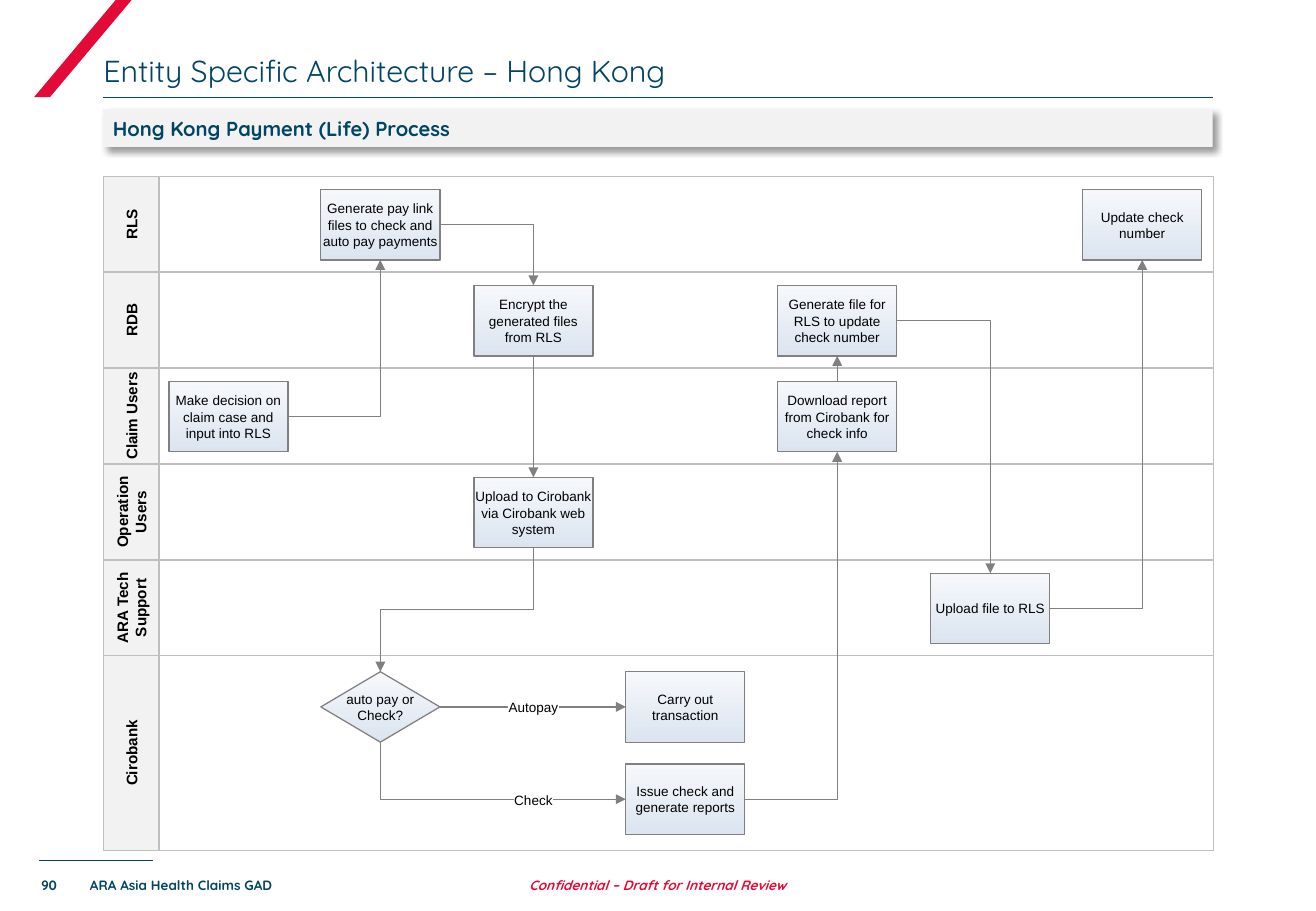
from dataclasses import dataclass

from lxml import etree
from pptx import Presentation
from pptx.dml.color import RGBColor
from pptx.enum.shapes import MSO_CONNECTOR, MSO_SHAPE
from pptx.enum.text import MSO_ANCHOR, PP_ALIGN
from pptx.oxml.ns import qn
from pptx.util import Pt

PX = 9144  # EMU per px, 100 px to the inch
RECT, SLANT = MSO_SHAPE.RECTANGLE, MSO_SHAPE.PARALLELOGRAM
PROCESS, DECISION = MSO_SHAPE.FLOWCHART_PROCESS, MSO_SHAPE.FLOWCHART_DECISION
STRAIGHT, ELBOW = MSO_CONNECTOR.STRAIGHT, MSO_CONNECTOR.ELBOW
LEFT, CENTER = PP_ALIGN.LEFT, PP_ALIGN.CENTER
MIDDLE, BOTTOM = MSO_ANCHOR.MIDDLE, MSO_ANCHOR.BOTTOM
TOP_SIDE, LEFT_SIDE, BOTTOM_SIDE, RIGHT_SIDE = range(4)

COLORS = {
    "navy": "004563", "red": "E40A38", "black": "000000", "white": "FFFFFF",
    "panel": "F2F2F2", "border": "BFBFBF", "flow": "808080",
    "box_top": "F6F8FB", "box_bottom": "DBE4F0",
}


@dataclass
class Style:
    size: int
    color: str = "black"
    font: str = "Arial"
    bold: bool = False
    italic: bool = False
    align: PP_ALIGN = CENTER
    anchor: MSO_ANCHOR = MIDDLE
    wrap: bool = True


@dataclass
class Step:
    key: str
    col: int
    row: int
    text: str
    kind: MSO_SHAPE = PROCESS


@dataclass
class Link:
    start: str
    start_side: int
    end: str
    end_side: int


@dataclass
class Label:
    text: str
    left: int
    top: int
    width: int


# Swimlanes and step grid
LANES = ["RLS", "RDB", "Claim Users", "Operation Users", "ARA Tech Support", "Cirobank"]
LANE_LEFT, LANE_TOP, LANE_H, LAST_LANE_H = 85, 145, 79, 160
HEAD_W, BODY_W = 46, 868
STEP_W, STEP_H = 98, 58
COL_LEFTS = [round(139 + col * 752 / 6) for col in range(7)]
ROW_TOPS = [156 + row * LANE_H for row in range(5)] + [553, 629]

STEPS = [
    Step("decide", 0, 2, "Make decision on claim case and input into RLS"),
    Step("pay_link", 1, 0, "Generate pay link files to check and auto pay payments"),
    Step("encrypt", 2, 1, "Encrypt the generated files from RLS"),
    Step("upload_bank", 2, 3, "Upload to Cirobank via Cirobank web system"),
    Step("choice", 1, 5, "auto pay or\nCheck?", DECISION),
    Step("carry_out", 3, 5, "Carry out transaction"),
    Step("issue", 3, 6, "Issue check and generate reports"),
    Step("download", 4, 2, "Download report from Cirobank for check info"),
    Step("update_file", 4, 1, "Generate file for RLS to update check number"),
    Step("upload_rls", 5, 4, "Upload file to RLS"),
    Step("update", 6, 0, "Update check number"),
]
LINKS = [
    Link("decide", RIGHT_SIDE, "pay_link", BOTTOM_SIDE),
    Link("pay_link", RIGHT_SIDE, "encrypt", TOP_SIDE),
    Link("encrypt", BOTTOM_SIDE, "upload_bank", TOP_SIDE),
    Link("upload_bank", BOTTOM_SIDE, "choice", TOP_SIDE),
    Link("choice", RIGHT_SIDE, "carry_out", LEFT_SIDE),
    Link("choice", BOTTOM_SIDE, "issue", LEFT_SIDE),
    Link("issue", RIGHT_SIDE, "download", BOTTOM_SIDE),
    Link("download", TOP_SIDE, "update_file", BOTTOM_SIDE),
    Link("update_file", RIGHT_SIDE, "upload_rls", TOP_SIDE),
    Link("upload_rls", RIGHT_SIDE, "update", BOTTOM_SIDE),
]
LABELS = [Label("Autopay", 418, 576, 42), Label("Check", 423, 652, 32)]


def rgb(name: str) -> RGBColor:
    return RGBColor.from_string(COLORS[name])


def write(sp, text: str, style: Style, inset: int = 0) -> None:
    tf = sp.text_frame
    tf.word_wrap = style.wrap
    tf.vertical_anchor = style.anchor
    tf.margin_left = tf.margin_right = inset * PX
    tf.margin_top = tf.margin_bottom = 0
    p = tf.paragraphs[0]
    p.text = text
    p.alignment = style.align
    p.font.name, p.font.size = style.font, Pt(style.size)
    p.font.bold, p.font.italic = style.bold, style.italic
    p.font.color.rgb = rgb(style.color)


def add_box(shapes, kind, left: int, top: int, width: int, height: int,
            fill: str, line: str = ""):
    sp = shapes.add_shape(kind, left * PX, top * PX, width * PX, height * PX)
    sp.shadow.inherit = False
    sp.fill.solid()
    sp.fill.fore_color.rgb = rgb(fill)
    if line:
        sp.line.color.rgb = rgb(line)
        sp.line.width = Pt(0.75)
    else:
        sp.line.fill.background()
    return sp


def add_text(shapes, text: str, left: int, width: int, style: Style) -> None:
    sp = shapes.add_textbox(left * PX, 712 * PX, width * PX, 23 * PX)
    write(sp, text, style)


def add_line(shapes, kind, start, end, color: str, width: float):
    con = shapes.add_connector(kind, *start, *end)
    con.line.color.rgb = rgb(color)
    con.line.width = Pt(width)
    etree.SubElement(con._element.spPr, qn("a:effectLst"))
    return con


def add_step(shapes, step: Step):
    sp = add_box(shapes, step.kind, COL_LEFTS[step.col], ROW_TOPS[step.row],
                 STEP_W, STEP_H, "white", "flow")
    sp.fill.gradient()
    sp.fill.gradient_angle = 270
    for stop, name in zip(sp.fill.gradient_stops, ("box_top", "box_bottom")):
        stop.color.rgb = rgb(name)
    write(sp, step.text, Style(8, wrap=step.kind == PROCESS))
    return sp


def side_point(sp, side: int) -> tuple[int, int]:
    dx, dy = ((1, 0), (0, 1), (1, 2), (2, 1))[side]
    return sp.left + sp.width * dx // 2, sp.top + sp.height * dy // 2


def add_link(shapes, boxes: dict, link: Link) -> None:
    first, last = boxes[link.start], boxes[link.end]
    (x1, y1), (x2, y2) = start, end = (side_point(first, link.start_side),
                                       side_point(last, link.end_side))
    straight = x1 == x2 or y1 == y2
    con = add_line(shapes, STRAIGHT if straight else ELBOW, start, end, "flow", 0.75)
    con.begin_connect(first, link.start_side)
    con.end_connect(last, link.end_side)
    spPr = con._element.spPr
    etree.SubElement(spPr.find(qn("a:ln")), qn("a:tailEnd"), type="triangle")
    if straight:
        return
    down_first = link.start_side == BOTTOM_SIDE
    if not (down_first and link.end_side == TOP_SIDE):
        spPr.find(qn("a:prstGeom")).set("prst", "bentConnector2")
    if down_first:  # turn the elbow so that it leaves downwards
        w, h = abs(y2 - y1), abs(x2 - x1)
        con.left, con.top = (x1 + x2 - w) // 2, (y1 + y2 - h) // 2
        con.width, con.height = w, h
        xfrm = spPr.find(qn("a:xfrm"))
        for flip in ("flipH", "flipV"):
            xfrm.attrib.pop(flip, None)
        xfrm.set("rot", "16200000" if x2 > x1 else "5400000")
        if x2 > x1:
            xfrm.set("flipH", "1")


def main() -> None:
    prs = Presentation()
    prs.slide_width, prs.slide_height = 1083 * PX, 750 * PX
    s = prs.slides.add_slide(prs.slide_layouts[5])
    shapes = s.shapes

    # Page frame, title and footer
    slash = add_box(shapes, SLANT, 28, -2, 82, 82, "red")
    slash.adjustments[0] = 0.84
    for left, right, y in ((32, 126, 708), (85, 998, 80)):
        add_line(shapes, STRAIGHT, (left * PX, y * PX), (right * PX, y * PX), "navy", 0.5)
    title = shapes.title
    title.left, title.top, title.width, title.height = 85 * PX, 36 * PX, 913 * PX, 37 * PX
    write(title, "Entity Specific Architecture – Hong Kong",
          Style(18, "navy", "Quicksand", align=LEFT, anchor=BOTTOM))
    add_text(shapes, "90", 17, 47, Style(8, "navy", "Quicksand", True, anchor=BOTTOM))
    add_text(shapes, "ARA Asia Health Claims GAD", 74, 339,
             Style(8, "navy", "Quicksand", True, align=LEFT, anchor=BOTTOM))
    add_text(shapes, "Confidential – Draft for Internal Review", 415, 253,
             Style(8, "red", "Quicksand", True, True, anchor=BOTTOM))

    # Heading bar with its shadow
    bar = add_box(shapes, RECT, 85, 90, 913, 31, "panel")
    write(bar, "Hong Kong Payment (Life) Process",
          Style(12, "navy", "Quicksand", True, align=LEFT), inset=8)
    shadow = etree.SubElement(bar._element.spPr.find(qn("a:effectLst")), qn("a:outerShdw"),
                              blurRad=str(Pt(4)), dist=str(Pt(3)), dir="2700000",
                              algn="tl", rotWithShape="0")
    tint = etree.SubElement(shadow, qn("a:srgbClr"), val=COLORS["black"])
    etree.SubElement(tint, qn("a:alpha"), val="40000")

    # Swimlanes
    for i, name in enumerate(LANES):
        top = LANE_TOP + i * LANE_H
        height = LAST_LANE_H if i == len(LANES) - 1 else LANE_H
        add_box(shapes, RECT, LANE_LEFT + HEAD_W, top, BODY_W, height, "white", "border")
        head = add_box(shapes, RECT, LANE_LEFT, top, HEAD_W, height, "panel", "border")
        write(head, name, Style(9, bold=True))
        head.text_frame._txBody.bodyPr.set("vert", "vert270")

    # Steps, arrows and arrow labels
    boxes = {step.key: add_step(shapes, step) for step in STEPS}
    for link in LINKS:
        add_link(shapes, boxes, link)
    for label in LABELS:
        sp = add_box(shapes, RECT, label.left, label.top, label.width, 13, "white")
        write(sp, label.text, Style(8, wrap=False))

    prs.save("out.pptx")


if __name__ == "__main__":
    main()
